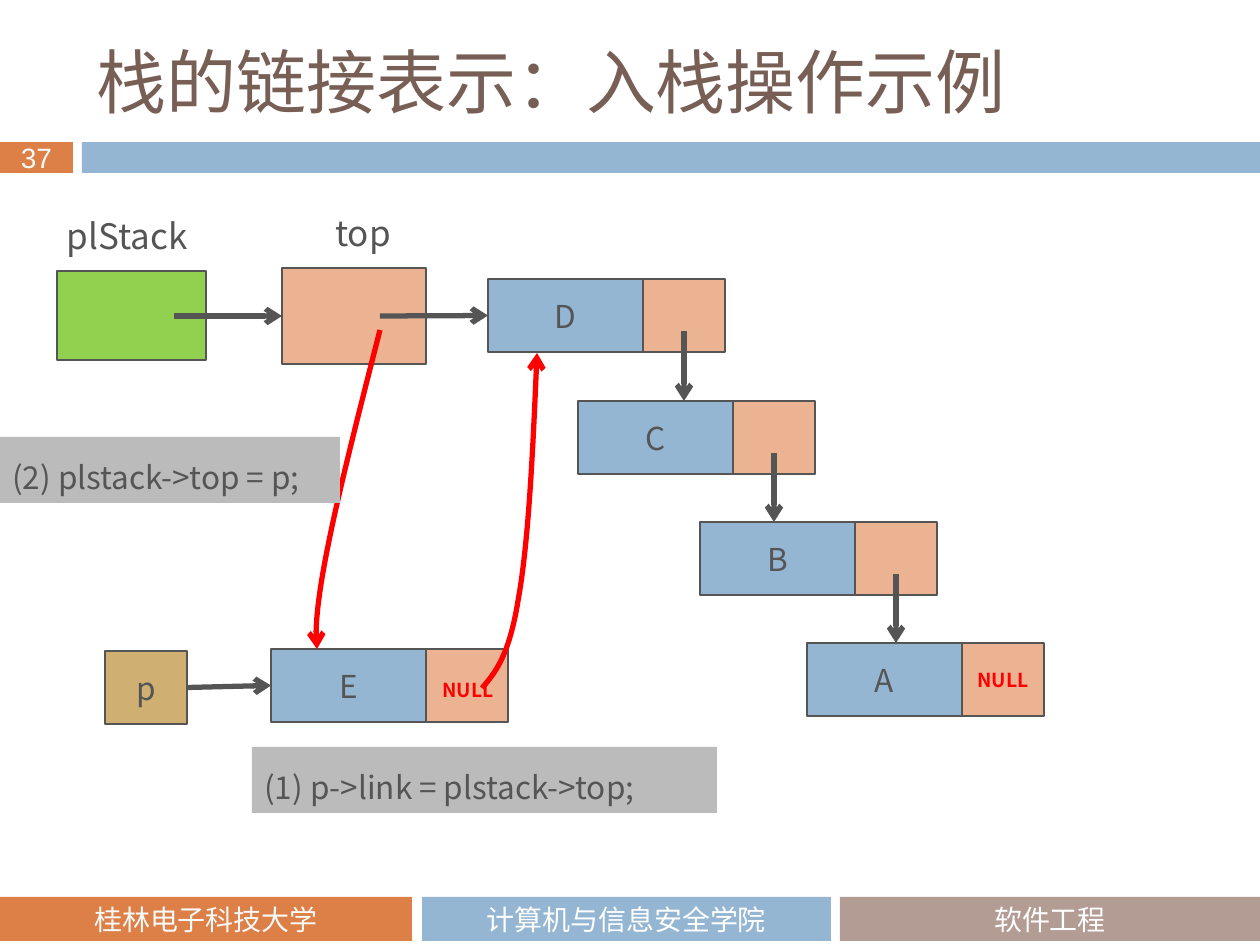
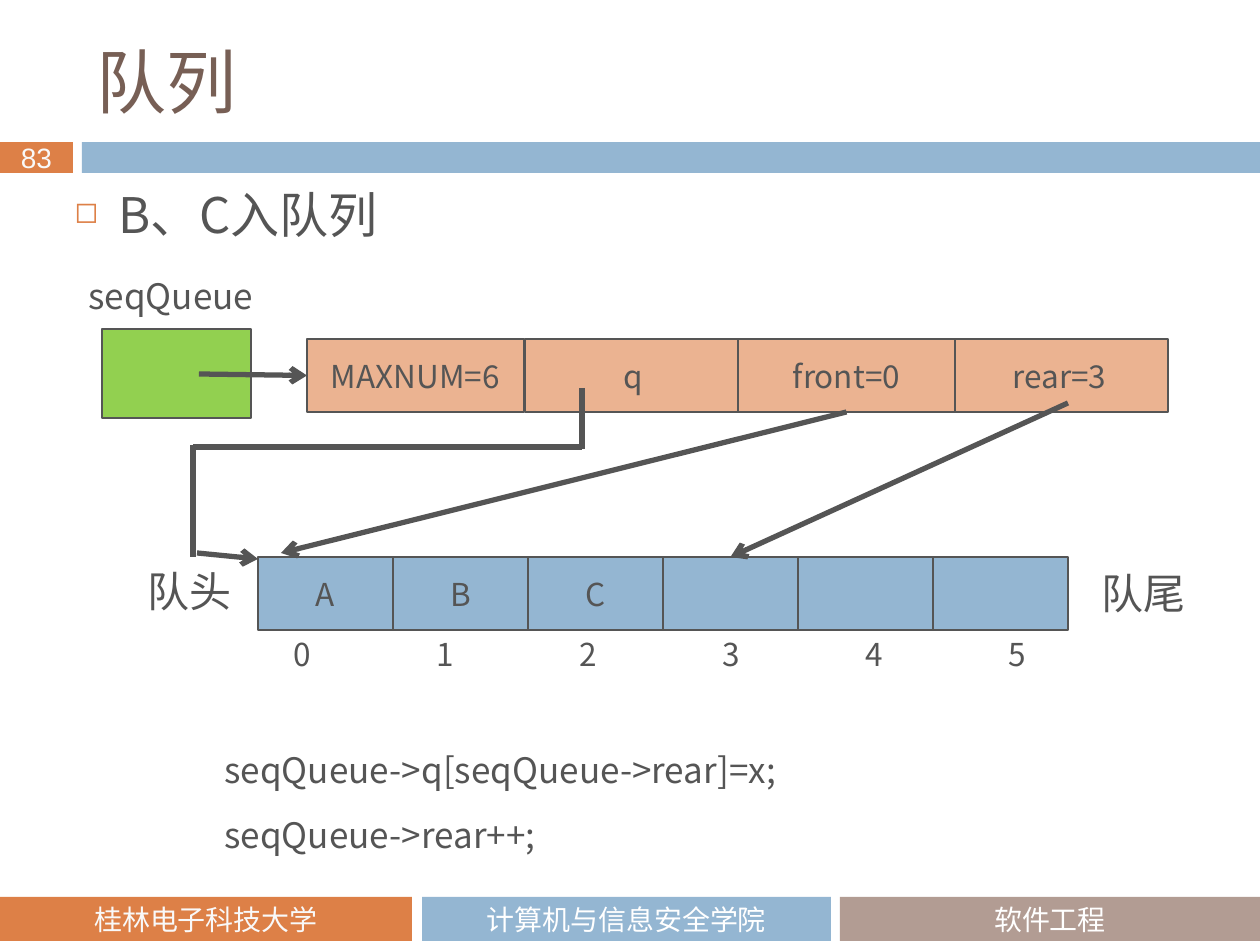
from dataclasses import dataclass

from lxml import etree
from pptx import Presentation
from pptx.dml.color import RGBColor
from pptx.enum.shapes import MSO_CONNECTOR, MSO_SHAPE
from pptx.enum.text import MSO_ANCHOR, MSO_AUTO_SIZE, PP_ALIGN
from pptx.oxml.ns import qn
from pptx.util import Pt

STRAIGHT = MSO_CONNECTOR.STRAIGHT
RECTANGLE = MSO_SHAPE.RECTANGLE
TOP, MIDDLE = MSO_ANCHOR.TOP, MSO_ANCHOR.MIDDLE
LEFT, CENTER = PP_ALIGN.LEFT, PP_ALIGN.CENTER
NO_AUTOSIZE = MSO_AUTO_SIZE.NONE
SIDE_TOP, SIDE_LEFT, SIDE_BOTTOM, SIDE_RIGHT = range(4)

EMU_PER_PX = 914400 / 126
TITLE_ONLY = 5


@dataclass(frozen=True)
class Theme:
    orange: str = "DD8047"
    blue: str = "94B6D2"
    taupe: str = "B29C93"
    peach: str = "EBB391"
    green: str = "92D050"
    sand: str = "D0AF72"
    grey: str = "BBBBBB"
    ink: str = "555555"
    red: str = "FF0000"
    white: str = "FFFFFF"
    off_white: str = "F9F9F9"
    title: str = "775F55"
    body_font: str = "Noto Sans CJK SC"
    title_font: str = "Noto Sans CJK JP"
    footer_font: str = "Calibri"
    number_font: str = "Arial"
    title_size: int = 40
    bullet_size: int = 28
    end_size: int = 24
    label_size: int = 20
    cell_size: int = 18
    footer_size: int = 16
    null_size: int = 11
    border: float = 0.75
    arrow: float = 3
    line_spacing: int = 30
    space_before: int = 7


T = Theme()

# Shared content: text, left, top, width, height, fill, text colour
TITLE_BOX = (84, 32, 1124, 98)
NUMBER_BOX = (0, 142, 73, 31)
TITLE_BAND = (82, 142, 1178, 31)
FOOTERS = [
    ("桂林电子科技大学", (0, 897, 412, 44), T.orange, T.off_white),
    ("计算机与信息安全学院", (422, 897, 409, 44), T.blue, T.white),
    ("软件工程", (840, 897, 420, 44), T.taupe, T.white),
]

# Linked stack content
STACK_TITLE, STACK_NUMBER = "栈的链接表示：入栈操作示例", "37"
DATA_WIDTH, LINK_WIDTH, CELL_HEIGHT = 155, 82, 73
LINK_START = 52
CHAIN = [("D", 488, 279), ("C", 578, 401), ("B", 700, 522), ("A", 807, 643)]
NEW_NODE = ("E", 271, 649)
STACK_LABELS = [("plStack", (54, 198, 160, 66)), ("top", (323, 195, 102, 66))]
STACK_BOX = (57, 271, 149, 89)
TOP_BOX = (282, 268, 144, 96)
P_BOX = (105, 651, LINK_WIDTH, CELL_HEIGHT)
NULL_TEXT, NEW_NULL_BOX = "NULL", (430, 672, 78, 37)
RED_CURVES = [
    [(482, 688), (495, 673), (509, 656), (518, 601),
     (528, 546), (533, 450), (537, 353)],
    [(380, 330), (345, 467), (310, 604), (317, 649)],
]
STEPS = [
    ("(1) p->link = plstack->top;", (252, 747, 465, 66)),
    ("(2) plstack->top = p;", (0, 437, 340, 66)),
]

# Sequential queue content
QUEUE_TITLE, QUEUE_NUMBER = "队列", "83"
QUEUE_BULLET, BULLET_BOX = "B、C入队列", (62, 185, 1124, 87)
QUEUE_LABEL, QUEUE_LABEL_BOX = "seqQueue", (76, 258, 198, 66)
QUEUE_BOX = (102, 329, 149, 89)
FIELD_TOP, FIELD_WIDTH = 339, 217
FIELDS = [("q", 525), ("rear=3", 951), ("front=0", 738), ("MAXNUM=6", 307)]
SLOTS = ["A", "B", "C", "", "", ""]
SLOT_LEFT, SLOT_TOP, SLOT_WIDTH = 258, 557, 135
INDEX_LEFT, INDEX_TOP, INDEX_PITCH = 281, 629, 143
QUEUE_ENDS = [("队头", (135, 557, 118, 66)), ("队尾", (1089, 559, 156, 66))]
Q_POINTER = [  # start, end, has arrowhead
    ((582, 388), (582, 449), False),
    ((582, 447), (193, 447), False),
    ((193, 445), (193, 557), False),
    ((197, 553), (258, 559), True),
]
ENQUEUE_CODE = ["seqQueue->q[seqQueue->rear]=x;", "seqQueue->rear++;"]
CODE_BOX = (212, 732, 743, 147)


def emu(*lengths):
    return [round(length * EMU_PER_PX) for length in lengths]


def rgb(color):
    return RGBColor.from_string(color)


def write(shape, lines, size, color=T.ink, font=T.body_font, align=LEFT,
          anchor=TOP, bold=False, wrap=True, spaced=False, inset=None):
    frame = shape.text_frame
    frame.text = "\n".join(lines)
    frame.word_wrap = wrap
    frame.auto_size = NO_AUTOSIZE
    frame.vertical_anchor = anchor
    if inset is not None:
        frame.margin_top = frame.margin_bottom = inset
        frame.margin_left = frame.margin_right = inset
    for position, paragraph in enumerate(frame.paragraphs):
        paragraph.alignment = align
        if spaced:
            paragraph.line_spacing = Pt(T.line_spacing)
            paragraph.space_before = Pt(T.space_before if position else 0)
        for run in paragraph.runs:
            run.font.size = Pt(size)
            run.font.bold = bold
            run.font.color.rgb = rgb(color)
            run.font.name = font
            east_asian = T.body_font if font == T.footer_font else font
            etree.SubElement(run.font._element, qn("a:ea"), typeface=east_asian)


def add_rect(slide, box, fill, bordered=False):
    rect = slide.shapes.add_shape(RECTANGLE, *emu(*box))
    rect.shadow.inherit = False
    rect.fill.solid()
    rect.fill.fore_color.rgb = rgb(fill)
    if bordered:
        rect.line.color.rgb = rgb(T.ink)
        rect.line.width = Pt(T.border)
    else:
        rect.line.fill.background()
    return rect


def add_cell(slide, box, fill, text="", size=T.cell_size, **style):
    cell = add_rect(slide, box, fill, bordered=True)
    if text:
        write(cell, [text], size, align=CENTER, anchor=MIDDLE, **style)
    return cell


def add_label(slide, lines, box, size, **style):
    label = slide.shapes.add_textbox(*emu(*box))
    write(label, lines, size, **style)
    return label


def style_line(line, color, arrow=True):
    line.color.rgb = rgb(color)
    line.width = Pt(T.arrow)
    if arrow:
        etree.SubElement(line._get_or_add_ln(), qn("a:tailEnd"), type="arrow")


def add_line(slide, start, end, arrow=True, begin_at=None, end_at=None):
    """Draw a line; begin_at and end_at are (shape, side) joints."""
    line = slide.shapes.add_connector(STRAIGHT, *emu(*start, *end))
    if begin_at:
        line.begin_connect(*begin_at)
    if end_at:
        line.end_connect(*end_at)
    style_line(line.line, T.ink, arrow)
    etree.SubElement(line._element.spPr, qn("a:effectLst"))


def add_curve(slide, points):
    """Draw a chain of cubic curves: a start, then three points per curve."""
    start, *controls = [emu(*point) for point in points]
    builder = slide.shapes.build_freeform(*start)
    builder.add_line_segments(controls, close=False)
    curve = builder.convert_to_shape()
    segments = list(curve._element.iter(qn("a:lnTo")))
    outline = segments[0].getparent()
    for first in range(0, len(segments), 3):
        bend = etree.SubElement(outline, qn("a:cubicBezTo"))
        for segment in segments[first:first + 3]:
            bend.append(segment[0])
            outline.remove(segment)
    curve.shadow.inherit = False
    curve.fill.background()
    style_line(curve.line, T.red)


def add_bullet(paragraph):
    properties = paragraph._p.get_or_add_pPr()
    indent = emu(44)[0]
    properties.set("marL", str(indent))
    properties.set("indent", str(-indent))
    color = etree.SubElement(properties, qn("a:buClr"))
    etree.SubElement(color, qn("a:srgbClr"), val=T.orange)
    etree.SubElement(properties, qn("a:buSzPct"), val="60000")
    etree.SubElement(properties, qn("a:buChar"), char="◻")


def new_slide(deck, title, number):
    slide = deck.slides.add_slide(deck.slide_layouts[TITLE_ONLY])
    # Bands and footers
    number_band = add_rect(slide, NUMBER_BOX, T.orange)
    write(number_band, [number], T.footer_size, T.off_white, T.number_font,
          CENTER, MIDDLE, inset=0)
    add_rect(slide, TITLE_BAND, T.blue)
    for text, box, fill, color in FOOTERS:
        write(add_rect(slide, box, fill), [text], T.footer_size, color,
              T.footer_font, CENTER, MIDDLE)
    # Title
    heading = slide.shapes.title
    heading.left, heading.top, heading.width, heading.height = emu(*TITLE_BOX)
    write(heading, [title], T.title_size, T.title, T.title_font, anchor=MIDDLE)
    return slide


def add_node(slide, name, left, top, link_text=""):
    data = add_cell(slide, (left, top, DATA_WIDTH, CELL_HEIGHT), T.blue, name)
    add_cell(slide, (left + DATA_WIDTH, top, LINK_WIDTH, CELL_HEIGHT), T.peach,
             link_text, T.null_size, color=T.red, bold=True)
    return data


def build_stack(deck):
    slide = new_slide(deck, STACK_TITLE, STACK_NUMBER)
    # Nodes and pointer boxes
    last = CHAIN[-1]
    chain = [add_node(slide, *node, NULL_TEXT if node is last else "")
             for node in CHAIN]
    new_node = add_node(slide, *NEW_NODE)
    add_cell(slide, STACK_BOX, T.green)
    top_box = add_cell(slide, TOP_BOX, T.peach)
    p_box = add_cell(slide, P_BOX, T.sand, "p")
    for text, box in STACK_LABELS:
        add_label(slide, [text], box, T.label_size, spaced=True)
    # Arrows
    add_line(slide, (174, 316), (282, 316), end_at=(top_box, SIDE_LEFT))
    add_line(slide, (380, 316), (488, 316), end_at=(chain[0], SIDE_LEFT))
    add_line(slide, (187, 687), (271, 686), begin_at=(p_box, SIDE_RIGHT),
             end_at=(new_node, SIDE_LEFT))
    for (_, left, top), (_, _, next_top) in zip(CHAIN, CHAIN[1:]):
        link_middle = left + DATA_WIDTH + LINK_WIDTH // 2
        add_line(slide, (link_middle, top + LINK_START), (link_middle, next_top))
    for points in RED_CURVES:
        add_curve(slide, points)
    # Push steps
    add_label(slide, [NULL_TEXT], NEW_NULL_BOX, T.null_size, color=T.red,
              bold=True, wrap=False)
    for text, box in STEPS:
        write(add_rect(slide, box, T.grey), [text], T.cell_size, spaced=True)


def build_queue(deck):
    slide = new_slide(deck, QUEUE_TITLE, QUEUE_NUMBER)
    bullet = add_label(slide, [QUEUE_BULLET], BULLET_BOX, T.bullet_size,
                       spaced=True)
    add_bullet(bullet.text_frame.paragraphs[0])
    # Queue record
    add_label(slide, [QUEUE_LABEL], QUEUE_LABEL_BOX, T.label_size, spaced=True)
    add_cell(slide, QUEUE_BOX, T.green)
    fields = {text: add_cell(slide, (left, FIELD_TOP, FIELD_WIDTH, CELL_HEIGHT),
                             T.peach, text)
              for text, left in FIELDS}
    # Array slots and indexes
    slots = []
    for index, text in enumerate(SLOTS):
        box = (SLOT_LEFT + index * SLOT_WIDTH, SLOT_TOP, SLOT_WIDTH, CELL_HEIGHT)
        slots.append(add_cell(slide, box, T.blue, text))
        add_label(slide, [str(index)],
                  (INDEX_LEFT + index * INDEX_PITCH, INDEX_TOP, 45, 50),
                  T.cell_size, wrap=False)
    for text, box in QUEUE_ENDS:
        add_label(slide, [text], box, T.end_size, spaced=True)
    # Pointers
    add_line(slide, (199, 374), (307, 374),
             end_at=(fields["MAXNUM=6"], SIDE_LEFT))
    for start, end, arrow in Q_POINTER:
        add_line(slide, start, end, arrow)
    add_line(slide, (847, 411), (281, 553),
             begin_at=(fields["front=0"], SIDE_BOTTOM))
    add_line(slide, (1068, 403), (731, 557), end_at=(slots[3], SIDE_TOP))
    # Enqueue code
    add_label(slide, ENQUEUE_CODE, CODE_BOX, T.label_size, spaced=True)


def main():
    deck = Presentation()
    deck.slide_width, deck.slide_height = emu(1260, 945)
    build_stack(deck)
    build_queue(deck)
    deck.save("out.pptx")


if __name__ == "__main__":
    main()
